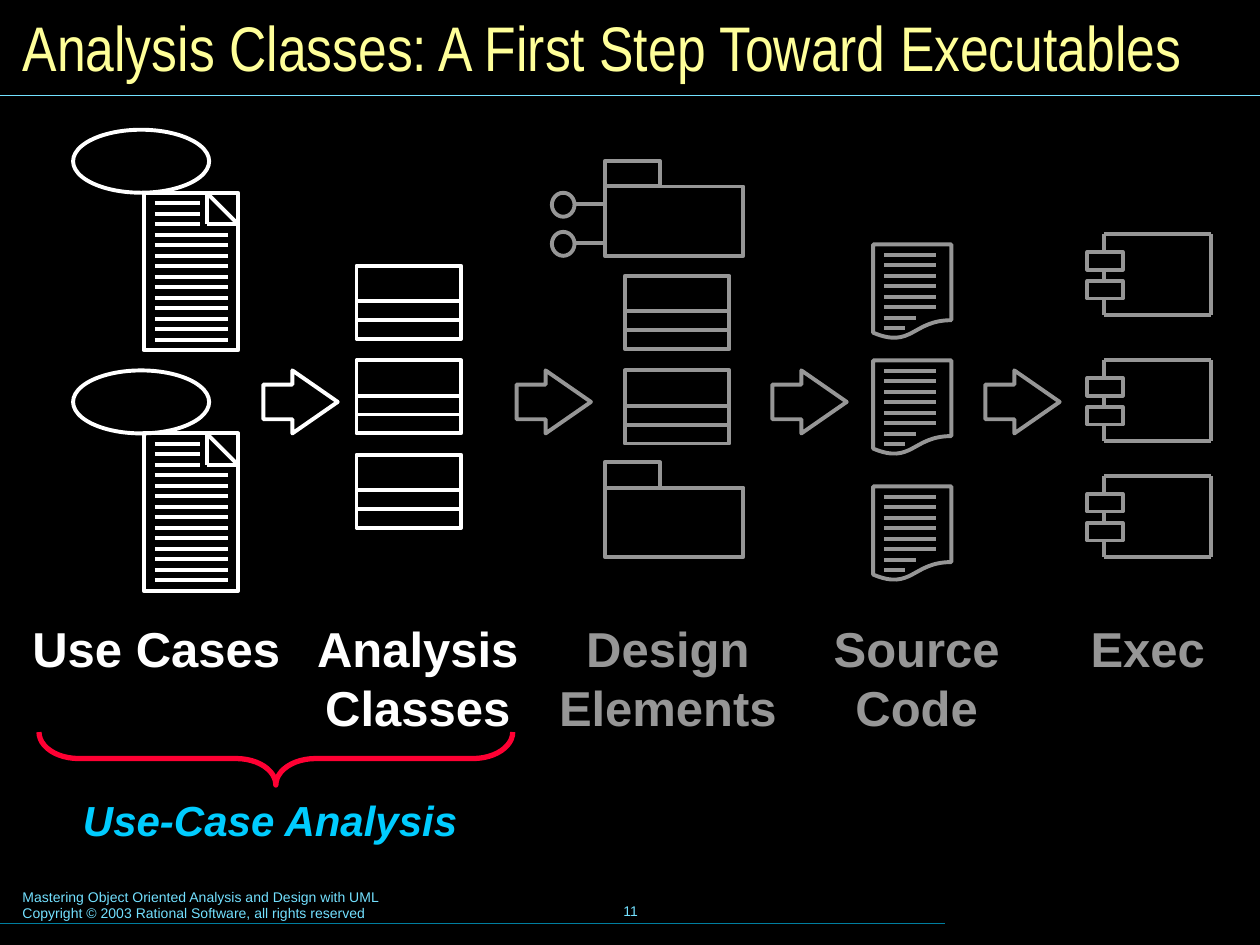
import lxml.etree
import pptx
import pptx.dml.color
import pptx.enum.shapes
import pptx.enum.text
import pptx.oxml.ns
import pptx.util

Inches = pptx.util.Inches
Pt = pptx.util.Pt
RGBColor = pptx.dml.color.RGBColor
Kind = pptx.enum.shapes.MSO_SHAPE
Align = pptx.enum.text.PP_ALIGN
Anchor = pptx.enum.text.MSO_ANCHOR

BLACK = RGBColor(0x00, 0x00, 0x00)
WHITE = RGBColor(0xFF, 0xFF, 0xFF)
GRAY = RGBColor(0x96, 0x96, 0x96)
YELLOW = RGBColor(0xFF, 0xFF, 0x99)
SKY = RGBColor(0x73, 0xE1, 0xFF)
TEAL = RGBColor(0x00, 0x7E, 0x9F)
CYAN = RGBColor(0x00, 0xCC, 0xFF)
RED = RGBColor(0xFF, 0x00, 0x33)

ROW = 1 / 12  # gap between the text lines on a page


def draw_shape(shapes, kind, left, top, width, height, color, weight=2.25):
    shape = shapes.add_shape(kind, Inches(left), Inches(top),
                             Inches(width), Inches(height))
    shape.shadow.inherit = False
    shape.fill.background()
    shape.line.color.rgb = color
    shape.line.width = Pt(weight)
    return shape


def draw_line(shapes, x1, y1, x2, y2, color, weight=2.25):
    line = shapes.add_connector(pptx.enum.shapes.MSO_CONNECTOR.STRAIGHT,
                                Inches(x1), Inches(y1), Inches(x2), Inches(y2))
    line.line.color.rgb = color
    line.line.width = Pt(weight)
    lxml.etree.SubElement(line._element.spPr, pptx.oxml.ns.qn("a:effectLst"))


def write(frame, text, size, color, font="Arial", bold=False, italic=False,
          align=Align.LEFT, anchor=Anchor.TOP, wrap=True):
    """Fill a text frame, one paragraph for each line."""
    frame.word_wrap = wrap
    frame.auto_size = pptx.enum.text.MSO_AUTO_SIZE.NONE
    frame.vertical_anchor = anchor
    frame.text = text
    for para in frame.paragraphs:
        para.alignment = align
        for run in para.runs:
            run.font.name = font
            run.font.size = Pt(size)
            run.font.bold = bold
            run.font.italic = italic
            run.font.color.rgb = color


def add_text(slide, text, left, top, width, height, **style):
    box = slide.shapes.add_textbox(Inches(left), Inches(top),
                                   Inches(width), Inches(height))
    write(box.text_frame, text, **style)


def add_title(slide, left, top, width, height):
    title = slide.shapes.title
    title.left, title.top = Inches(left), Inches(top)
    title.width, title.height = Inches(width), Inches(height)
    write(title.text_frame, "Analysis Classes: A First Step Toward Executables",
          size=36, color=YELLOW, font="Arial Narrow", anchor=Anchor.MIDDLE)
    draw_line(slide.shapes, 0, 0.76, 10, 0.76, SKY, 0.75)


def add_footer(slide, left, top):
    add_text(slide, "Mastering Object Oriented Analysis and Design with UML\n"
             "Copyright © 2003 Rational Software, all rights reserved",
             left, top, 5.1, 0.37, size=8, color=SKY)
    add_text(slide, "11", left + 3.34, top - 0.02, 3.17, 0.5, size=8, color=SKY,
             align=Align.CENTER, anchor=Anchor.MIDDLE, wrap=False)
    draw_line(slide.shapes, 0, top + 0.33, 7.5, top + 0.33, TEAL, 0.75)


def add_case(slide, left, top, color):
    """Use case oval with its folded page of text."""
    parts = slide.shapes.add_group_shape().shapes
    draw_shape(parts, Kind.OVAL, left, top, 1.08, 0.5, color)
    page, edge = left + 0.56, top + 0.5
    draw_shape(parts, Kind.RECTANGLE, page, edge, 0.75, 1.25, color)
    fold, right, low = page + 0.5, page + 0.75, edge + 0.25
    draw_line(parts, fold, edge, right, low, color)
    draw_line(parts, fold, edge, fold, low, color)
    draw_line(parts, right, low, fold, low, color)
    for row in range(1, 15):
        y = edge + row * ROW
        end = 0.45 if row <= 3 else 0.67
        draw_line(parts, page + 0.09, y, page + end, y, color)


def add_class(slide, left, top, color):
    parts = slide.shapes.add_group_shape().shapes
    draw_shape(parts, Kind.RECTANGLE, left, top, 0.83, 0.58, color)
    for drop in (0.28, 0.43):
        draw_line(parts, left, top + drop, left + 0.83, top + drop, color)


def add_folder(slide, left, top, color, ports=()):
    """Package with a tab, and an interface circle at each port height."""
    parts = slide.shapes.add_group_shape().shapes
    draw_shape(parts, Kind.RECTANGLE, left, top + 0.2, 1.1, 0.55, color)
    draw_shape(parts, Kind.RECTANGLE, left, top, 0.44, 0.2, color)
    for drop in ports:
        y = top + drop
        draw_shape(parts, Kind.OVAL, left - 0.42, y - 0.09, 0.18, 0.19, color)
        draw_line(parts, left - 0.24, y, left, y, color)


def add_source(slide, left, top, color):
    parts = slide.shapes.add_group_shape().shapes
    draw_shape(parts, Kind.FLOWCHART_DOCUMENT, left, top, 0.62, 0.75, color)
    for row, end in enumerate([0.5] * 6 + [0.34, 0.25], 1):
        y = top + row * ROW
        draw_line(parts, left + 0.09, y, left + end, y, color)


def add_exec(slide, left, top, color):
    """Component: a body whose left side is broken by two tabs."""
    parts = slide.shapes.add_group_shape().shapes
    side, right, low = left + 0.13, left + 0.98, top + 0.64
    draw_line(parts, right, top, right, low, color)
    for y in (top, low):
        draw_line(parts, right, y, side, y, color)
    for start, end in ((0, 0.14), (0.27, 0.37), (0.5, 0.64)):
        draw_line(parts, side, top + start, side, top + end, color)
    for drop in (0.14, 0.37):
        draw_shape(parts, Kind.RECTANGLE, left, top + drop, 0.28, 0.14, color)


def add_arrow(slide, left, top, color):
    arrow = draw_shape(slide.shapes, Kind.RIGHT_ARROW, left, top, 0.59, 0.5, color)
    arrow.adjustments[0] = 0.55
    arrow.adjustments[1] = 0.72


def add_label(slide, text, left, width, color):
    height = 1.04 if len(text.split("\n")) > 1 else 0.57
    add_text(slide, text, left, 4.86, width, height, size=28, color=color,
             bold=True, align=Align.CENTER, wrap=False)


def add_scope(slide, left, top):
    """Brace under the first two stages, with its caption."""
    brace = draw_shape(slide.shapes, Kind.LEFT_BRACE, left + 1.67, top - 1.67,
                       0.42, 3.76, RED, 3)
    brace.rotation = 270
    brace.adjustments[0] = 0.75
    add_text(slide, "Use-Case Analysis", left + 0.25, top + 0.45, 3.25, 0.52,
             size=24, color=CYAN, bold=True, italic=True)


def main():
    deck = pptx.Presentation()
    deck.slide_width, deck.slide_height = Inches(10), Inches(7.5)
    slide = deck.slides.add_slide(deck.slide_layouts[5])
    slide.background.fill.solid()
    slide.background.fill.fore_color.rgb = BLACK

    add_title(slide, 0.08, 0.08, 9.84, 0.58)
    for top in (1.03, 2.94):
        add_case(slide, 0.58, top, WHITE)
    for top in (2.11, 2.86, 3.61):
        add_class(slide, 2.83, top, WHITE)
    add_folder(slide, 4.8, 1.28, GRAY, ports=(0.34, 0.65))
    for top in (2.19, 2.94):
        add_class(slide, 4.96, top, GRAY)
    add_folder(slide, 4.8, 3.67, GRAY)
    for top in (1.94, 2.86, 3.86):
        add_source(slide, 6.93, top, GRAY)
    for top in (1.86, 2.86, 3.78):
        add_exec(slide, 8.63, top, GRAY)
    for left, color in ((2.09, WHITE), (4.1, GRAY), (6.13, GRAY), (7.82, GRAY)):
        add_arrow(slide, left, 2.94, color)

    for text, left, width, color in (
            ("Use Cases", 0.16, 2.16, WHITE),
            ("Analysis\nClasses", 2.42, 1.79, WHITE),
            ("Design\nElements", 4.34, 1.92, GRAY),
            ("Source\nCode", 6.52, 1.51, GRAY),
            ("Exec", 8.56, 1.1, GRAY)):
        add_label(slide, text, left, width, color)
    add_scope(slide, 0.31, 5.81)
    add_footer(slide, 0.08, 7)
    deck.save("out.pptx")


if __name__ == "__main__":
    main()
